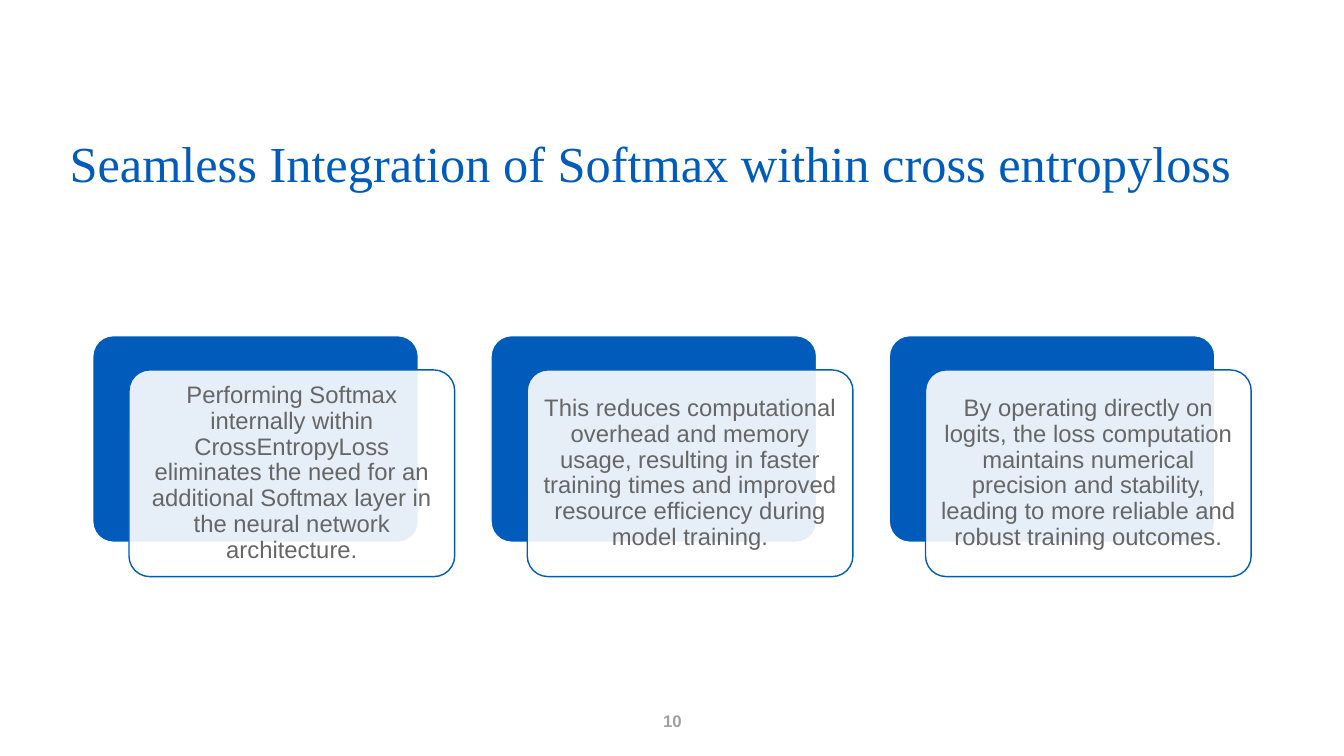
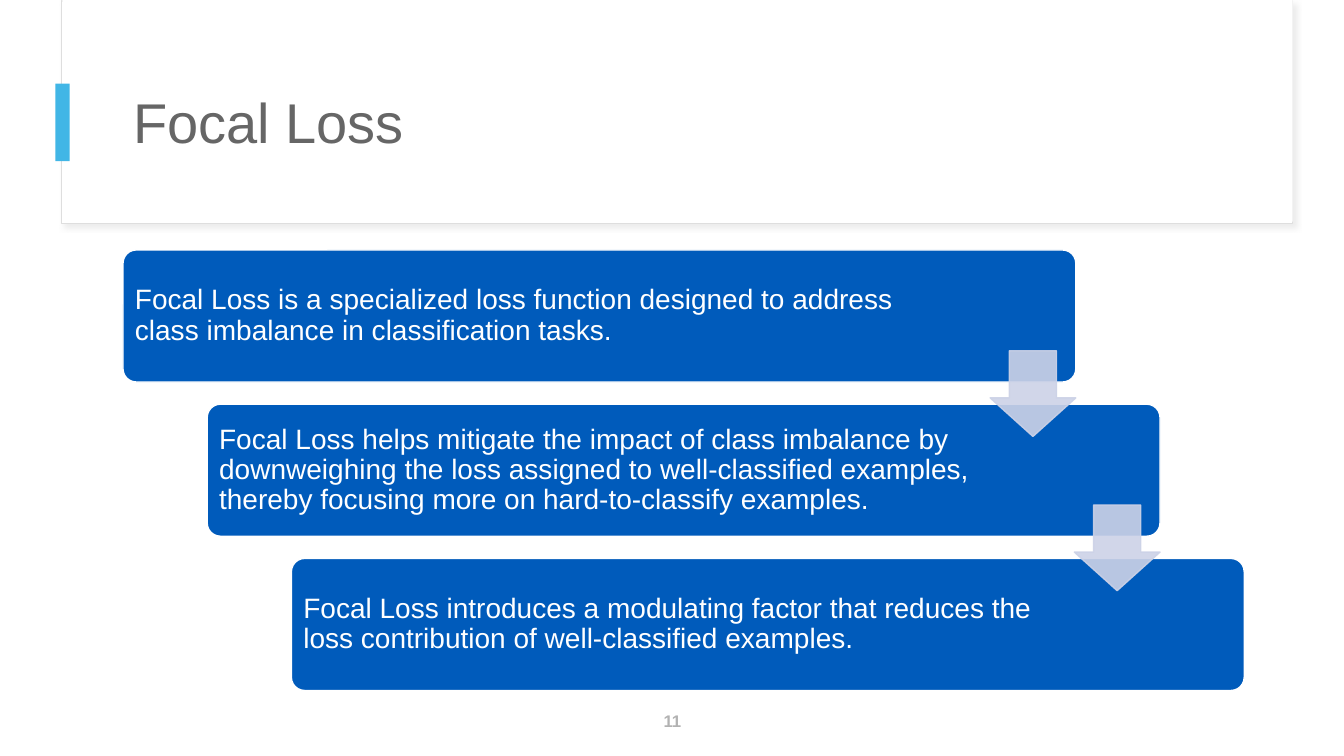
from lxml import etree
from pptx import Presentation
from pptx import util as u
from pptx.dml.color import RGBColor
from pptx.enum import shapes, text
from pptx.oxml import ns

COLORS = {
    "blue": "005BBB", "sky": "41B6E6", "white": "FFFFFF", "gray": "666666",
    "edge": "DEDEDE", "shade": "D9D9D9", "arrow": "CCD2E7",
    "number": "A0A0A0", "pale_number": "B2B2B2",
}
SHAPE = shapes.MSO_SHAPE
LEFT, CENTER = text.PP_ALIGN.LEFT, text.PP_ALIGN.CENTER

CARDS = [
    "Performing Softmax internally within CrossEntropyLoss eliminates the need for an additional Softmax layer in the neural network architecture.",
    "This reduces computational overhead and memory usage, resulting in faster training times and improved resource efficiency during model training.",
    "By operating directly on logits, the loss computation maintains numerical precision and stability, leading to more reliable and robust training outcomes.",
]
STEPS = [
    ("Focal Loss is a specialized loss function designed to address class imbalance in classification tasks.", 1.41),
    ("Focal Loss helps mitigate the impact of class imbalance by downweighing the loss assigned to well-classified examples, thereby focusing more on hard-to-classify examples.", 1.76),
    ("Focal Loss introduces a modulating factor that reduces the loss contribution of well-classified examples.", 1.76),
]


def rgb(name):
    return RGBColor.from_string(COLORS[name])


def apply(target, values):
    for name, value in values.items():
        setattr(target, name, value)


def place(shape, box):
    apply(shape, dict(zip(("left", "top", "width", "height"), map(u.Inches, box))))


def write(shape, words, size, color, font="Arial", align=LEFT, bold=False,
          margins=(0.1, 0.05, 0.1, 0.05), spacing=0.9):
    frame = shape.text_frame
    sides = ("margin_left", "margin_top", "margin_right", "margin_bottom")
    apply(frame, dict(zip(sides, map(u.Inches, margins))))
    apply(frame, {"word_wrap": True, "auto_size": text.MSO_AUTO_SIZE.NONE,
                  "vertical_anchor": text.MSO_ANCHOR.MIDDLE})
    para = frame.paragraphs[0]
    apply(para, {"alignment": align, "line_spacing": spacing})
    span = para.add_run()
    span.text = words
    apply(span.font, {"name": font, "size": u.Pt(size), "bold": bold})
    span.font.color.rgb = rgb(color)


def set_alpha(shape, percent):
    for color in shape.element.spPr.iter(ns.qn("a:srgbClr")):
        etree.SubElement(color, ns.qn("a:alpha"), val=str(percent * 1000))


def add_shape(page, kind, box, fill, line=None, width=1, adjust=()):
    shape = page.shapes.add_shape(kind, *map(u.Inches, box))
    shape.shadow.inherit = False
    shape.fill.solid()
    shape.fill.fore_color.rgb = rgb(fill)
    if line:
        shape.line.color.rgb = rgb(line)
        shape.line.width = u.Pt(width)
    else:
        shape.line.fill.background()
    for index, value in enumerate(adjust):
        shape.adjustments[index] = value
    return shape


def add_shadow(shape):
    effects = shape.element.spPr.find(ns.qn("a:effectLst"))
    shadow = etree.SubElement(
        effects, ns.qn("a:outerShdw"), blurRad=str(u.Pt(4)), dist=str(u.Pt(3)),
        dir=str(45 * 60000), algn="tl", rotWithShape="0")
    color = etree.SubElement(shadow, ns.qn("a:srgbClr"), val=COLORS["shade"])
    etree.SubElement(color, ns.qn("a:alpha"), val="50000")


def add_page(deck, title, box, number, number_color, **title_style):
    page = deck.slides.add_slide(deck.slide_layouts[5])
    place(page.shapes.title, box)
    write(page.shapes.title, title, **title_style)
    footer = page.shapes.add_textbox(*map(u.Inches, (4.42, 6.95, 4.5, 0.4)))
    write(footer, number, 12, number_color, align=CENTER, bold=True, spacing=1)
    return page


def add_card(page, box, words):
    left, top, width, height = box
    add_shape(page, SHAPE.ROUNDED_RECTANGLE, box, "blue", "white", adjust=[0.1])
    front = add_shape(page, SHAPE.ROUNDED_RECTANGLE,
                      (left + 0.36, top + 0.34, width, height),
                      "white", "blue", adjust=[0.1])
    front.line.color.rgb = rgb("blue")
    color = front.element.spPr.find(ns.qn("a:solidFill"))[0]
    etree.SubElement(color, ns.qn("a:alpha"), val="90000")
    write(front, words, 17, "gray", align=CENTER, margins=[0.07] * 4)


def add_header(page, box):
    left, top, width, height = box
    title = page.shapes.title
    frame = add_shape(page, SHAPE.RECTANGLE, (left - 0.01, top + 0.01, width + 0.01, height + 0.01),
                      "white", "edge", 0.75)
    add_shadow(frame)
    cover = add_shape(page, SHAPE.RECTANGLE, box, "white")
    for panel in (frame, cover):
        title.element.addprevious(panel.element)
    add_shape(page, SHAPE.RECTANGLE, (left - 0.07, top + 0.83, 0.14, 0.77), "sky")


def add_staircase(page, box, steps):
    left, top, width, height = box
    step_width, step_height, arrow = 9.45, 1.31, 0.85
    shift = (width - step_width) / (len(steps) - 1)
    drop = (height - step_height) / (len(steps) - 1)
    for index, (words, right_margin) in enumerate(steps):
        step = add_shape(page, SHAPE.ROUNDED_RECTANGLE,
                         (left + index * shift, top + index * drop, step_width, step_height),
                         "blue", "white", adjust=[0.1])
        write(step, words, 20, "white", margins=(0.08, 0.08, right_margin, 0.08))
    for index in range(len(steps) - 1):
        pointer = add_shape(page, SHAPE.DOWN_ARROW,
                            (left + index * shift + step_width - arrow,
                             top + index * drop + 1, arrow, arrow),
                            "arrow", "arrow", adjust=[0.55, 0.45])
        set_alpha(pointer, 90)


def build_softmax(deck):
    page = add_page(deck, "Seamless Integration of Softmax within cross entropyloss",
                    (0.59, 1.07, 11.83, 1.15), "10", "number",
                    size=36, color="blue", font="Times New Roman")
    for index, words in enumerate(CARDS):
        add_card(page, (0.92 + index * 3.95, 3.33, 3.23, 2.05), words)


def build_focal_loss(deck):
    page = add_page(deck, "Focal Loss", (1.22, 0.6, 11.12, 1.29), "11", "pale_number",
                    size=40, color="gray")
    add_header(page, (0.62, 0, 12.2, 2.2))
    add_staircase(page, (1.22, 2.48, 11.12, 4.37), STEPS)


def main():
    deck = Presentation()
    apply(deck, {"slide_width": u.Inches(13.33), "slide_height": u.Inches(7.5)})
    build_softmax(deck)
    build_focal_loss(deck)
    deck.save("out.pptx")


if __name__ == "__main__":
    main()
